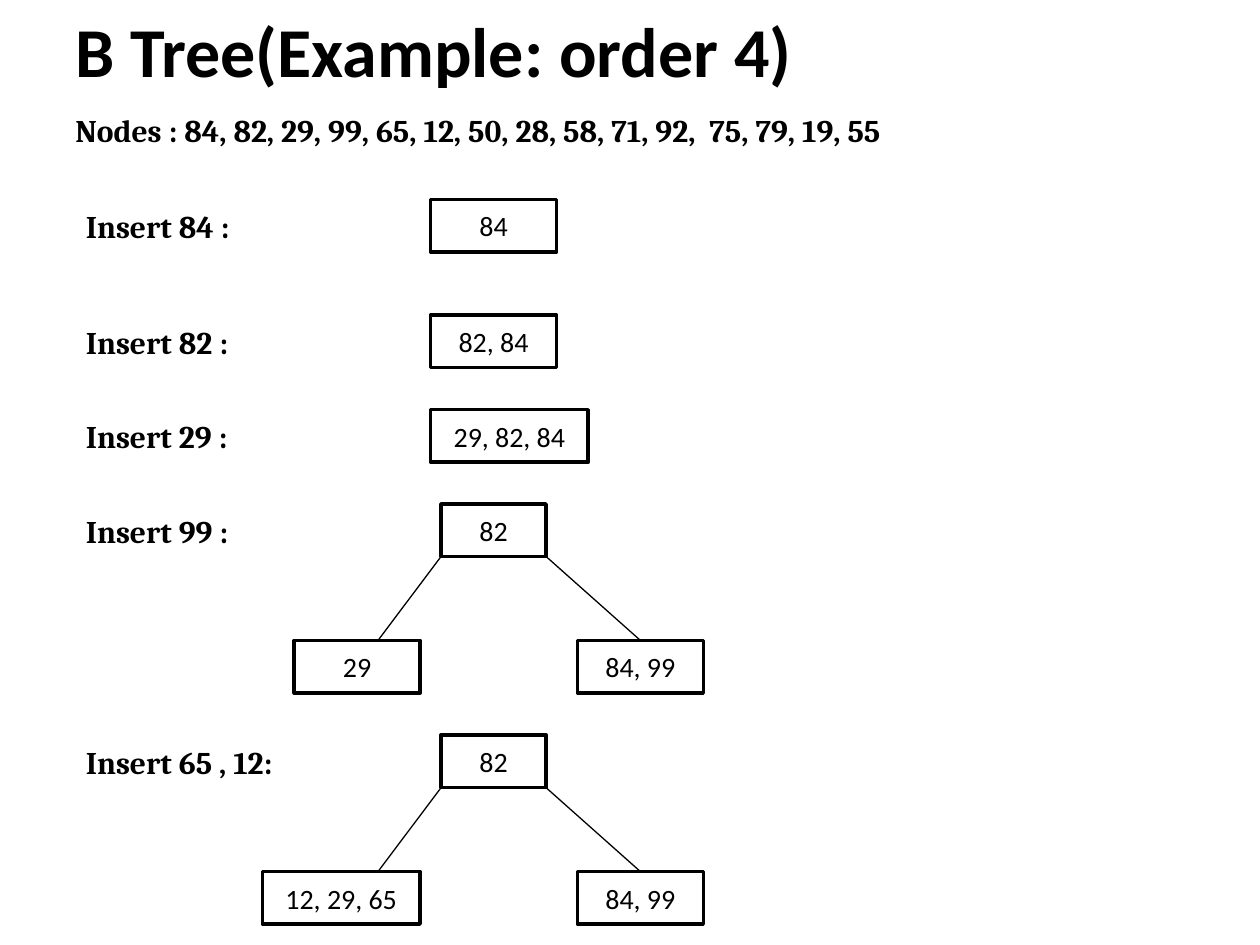
from dataclasses import dataclass

from lxml import etree
from pptx import Presentation
from pptx.dml.color import RGBColor
from pptx.enum.shapes import MSO_CONNECTOR, MSO_SHAPE
from pptx.enum.text import MSO_ANCHOR, PP_ALIGN
from pptx.oxml.ns import qn
from pptx.util import Cm, Pt

RECTANGLE = MSO_SHAPE.RECTANGLE
STRAIGHT = MSO_CONNECTOR.STRAIGHT
TOP, MIDDLE = MSO_ANCHOR.TOP, MSO_ANCHOR.MIDDLE
LEFT, CENTER, JUSTIFY = PP_ALIGN.LEFT, PP_ALIGN.CENTER, PP_ALIGN.JUSTIFY

BLACK, WHITE = "000000", "FFFFFF"
HEADING_FONT, BODY_FONT = "Calibri", "Cambria"

# Lengths in centimetres
NODE_HEIGHT = 1.06
NODE_WIDTH, WIDE_NODE, ROOT_WIDTH = 2.54, 3.18, 2.12
SINGLE_LEFT, ROOT_LEFT = 8.68, 8.89
LEFT_CHILD_END, RIGHT_CHILD_START = 8.47, 11.64
CHILD_DROP = 2.75
LEFT_EDGE_END = 7.62
RIGHT_EDGE_END = RIGHT_CHILD_START + NODE_WIDTH / 2
LABEL_LEFT, LABEL_WIDTH, LABEL_HEIGHT, LABEL_DROP = 1.48, 7.62, 1.02, 0.03


@dataclass(frozen=True)
class Step:
    label: str
    top: float
    root: str
    children: tuple[str, ...] = ()


STEPS = (
    Step("Insert 84 :", 4.02, "84"),
    Step("Insert 82 :", 6.35, "82, 84"),
    Step("Insert 29 :", 8.26, "29, 82, 84"),
    Step("Insert 99 :", 10.16, "82", ("29", "84, 99")),
    Step("Insert 65 , 12:", 14.82, "82", ("12, 29, 65", "84, 99")),
)


def color(value: str) -> RGBColor:
    return RGBColor.from_string(value)


def write(frame, text: str, size: float, font: str, bold: bool, align, anchor) -> None:
    frame.word_wrap = True
    frame.vertical_anchor = anchor
    paragraph = frame.paragraphs[0]
    paragraph.alignment = align
    run = paragraph.add_run()
    run.text = text
    run.font.size = Pt(size)
    run.font.name = font
    run.font.bold = bold
    run.font.color.rgb = color(BLACK)


def add_label(shapes, text: str, left: float, top: float, width: float) -> None:
    label = shapes.add_textbox(Cm(left), Cm(top), Cm(width), Cm(LABEL_HEIGHT))
    write(label.text_frame, text, 18, BODY_FONT, True, JUSTIFY, TOP)


def add_node(shapes, keys: str, left: float, top: float, width: float) -> None:
    node = shapes.add_shape(RECTANGLE, Cm(left), Cm(top), Cm(width), Cm(NODE_HEIGHT))
    node.shadow.inherit = False
    node.fill.solid()
    node.fill.fore_color.rgb = color(WHITE)
    node.line.color.rgb = color(BLACK)
    node.line.width = Pt(2)
    write(node.text_frame, keys, 16, HEADING_FONT, False, CENTER, MIDDLE)


def add_edge(shapes, x1: float, y1: float, x2: float, y2: float) -> None:
    edge = shapes.add_connector(STRAIGHT, Cm(x1), Cm(y1), Cm(x2), Cm(y2))
    edge.line.color.rgb = color(BLACK)
    edge.line.width = Pt(0.75)
    etree.SubElement(edge._element.spPr, qn("a:effectLst"))


def width_for(keys: str) -> float:
    return WIDE_NODE if keys.count(",") == 2 else NODE_WIDTH


def add_tree(shapes, step: Step) -> None:
    smaller, larger = step.children
    child_top = step.top + CHILD_DROP
    root_bottom = step.top + NODE_HEIGHT
    smaller_width = width_for(smaller)
    add_node(shapes, step.root, ROOT_LEFT, step.top, ROOT_WIDTH)
    add_node(shapes, smaller, LEFT_CHILD_END - smaller_width, child_top, smaller_width)
    add_node(shapes, larger, RIGHT_CHILD_START, child_top, width_for(larger))
    add_edge(shapes, ROOT_LEFT, root_bottom, LEFT_EDGE_END, child_top)
    add_edge(shapes, ROOT_LEFT + ROOT_WIDTH, root_bottom, RIGHT_EDGE_END, child_top)


def main() -> None:
    presentation = Presentation()
    presentation.slide_width, presentation.slide_height = Cm(25.4), Cm(19.05)
    slide = presentation.slides.add_slide(presentation.slide_layouts[6])
    shapes = slide.shapes

    # Title and the keys to insert
    title = shapes.add_textbox(Cm(1.27), Cm(0.2), Cm(23.5), Cm(1.35))
    title.text_frame.margin_top, title.text_frame.margin_bottom = Cm(0.23), Cm(0)
    write(title.text_frame, "B Tree(Example: order 4)", 40, HEADING_FONT, True, LEFT, MIDDLE)
    add_label(shapes, "Nodes : 84, 82, 29, 99, 65, 12, 50, 28, 58, 71, 92,  75, 79, 19, 55",
              1.27, 2.12, 23.07)

    # Insertion steps: a single node or a root with two children
    for step in STEPS:
        add_label(shapes, step.label, LABEL_LEFT, step.top + LABEL_DROP, LABEL_WIDTH)
        if step.children:
            add_tree(shapes.add_group_shape().shapes, step)
        else:
            add_node(shapes, step.root, SINGLE_LEFT, step.top, width_for(step.root))

    presentation.save("out.pptx")


if __name__ == "__main__":
    main()
